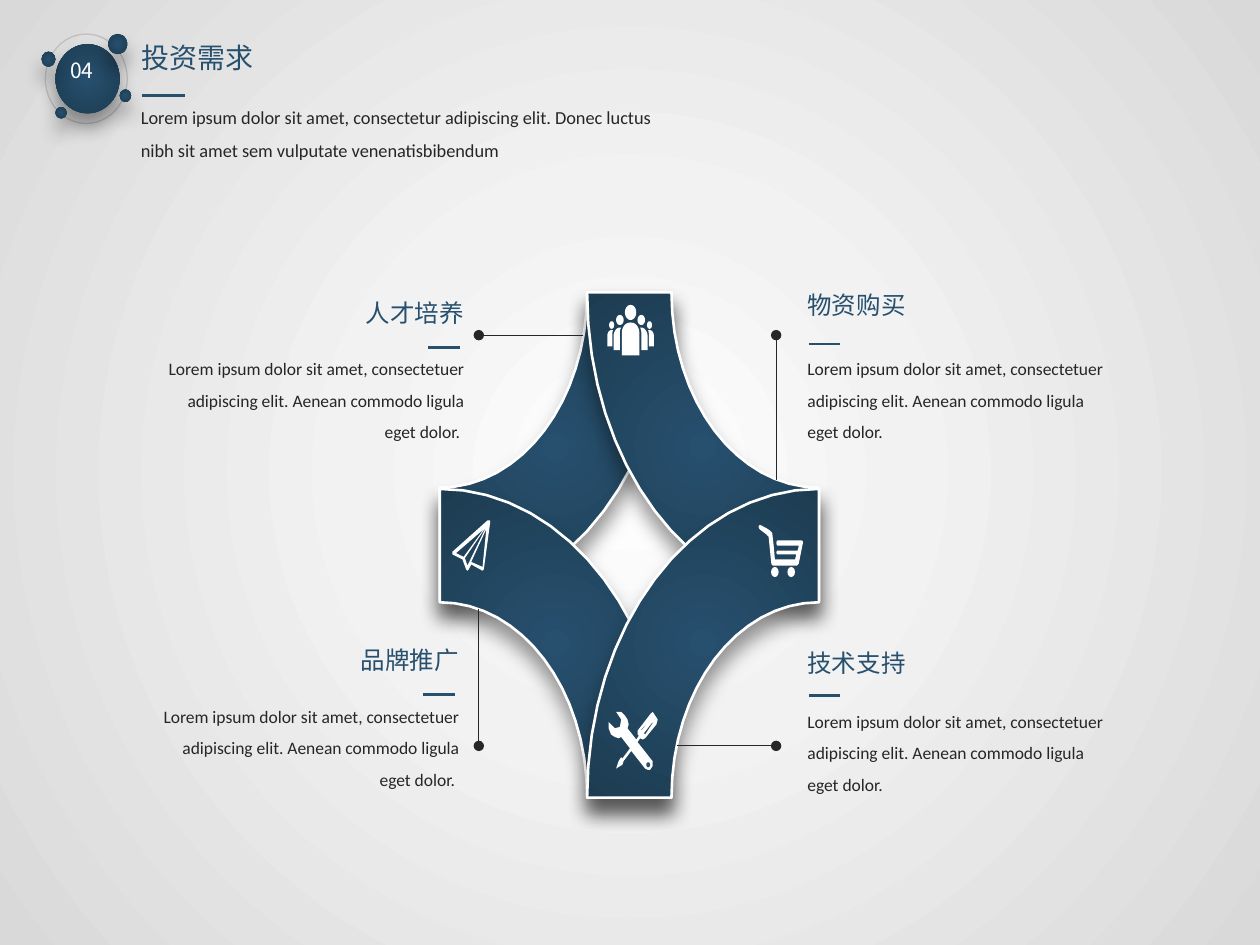
from dataclasses import dataclass
from math import cos, pi, sin

from lxml import etree
from pptx import Presentation
from pptx import util as u
from pptx.dml.color import RGBColor
from pptx.enum import shapes, text
from pptx.oxml import parse_xml
from pptx.oxml.ns import nsdecls, qn


@dataclass(frozen=True)
class Theme:
    navy: str = "27506E"
    deep: str = "1D3C52"
    ink: str = "262626"
    white: str = "FFFFFF"
    ring: str = "BFBFBF"
    latin: str = "Calibri"
    cjk: str = "Noto Sans CJK SC"
    title: float = 16
    number: float = 12
    intro: float = 10.5
    label: float = 14
    body: float = 10


THEME = Theme()
CELL = u.Inches(0.1)  # the slide is a grid of 100 columns by 75 rows
NAVY_STOPS = ((0, THEME.navy), (100, THEME.deep))
PAGE_STOPS = ((0, THEME.white), (35, "F2F2F2"), (100, "D9D9D9"))
LEFT, RIGHT, CENTER = text.PP_ALIGN.LEFT, text.PP_ALIGN.RIGHT, text.PP_ALIGN.CENTER
LOREM = ("Lorem ipsum dolor sit amet, consectetuer adipiscing elit. "
         "Aenean commodo ligula eget dolor.")
HUB = (49.95, 43.25)

# Outlines: two numbers are a straight step, six are a curve.
BAND = [(3.35, -20.05), (-3.35, -20.05), (-3.35, -6.45, 4.85, 4.45, 15.05, 4.45),
        (15.05, -4.55), (8.55, -4.55, 3.35, -11.45, 3.35, -20.05)]
CART = [(63.6, 42.9), (61.7, 42.9), (61.6, 42.9, 61.6, 43.3, 61.7, 43.3),
        (63.4, 43.3), (63.3, 43.7), (61.7, 43.7), (61.6, 43.7, 61.6, 44, 61.7, 44),
        (63.2, 44), (63.1, 44.4), (61.5, 44.4), (61.4, 43.3), (61.3, 42.4),
        (61.3, 42.2, 61, 42, 60.4, 41.7), (60.2, 41.6, 60.1, 41.9, 60.4, 42.1),
        (60.8, 42.4), (61, 42.6), (61.2, 44.6), (61.2, 44.6, 61.2, 44.9, 61.4, 44.9),
        (63.2, 44.9), (63.3, 44.9, 63.4, 44.7, 63.4, 44.7), (63.7, 43.2),
        (63.7, 43.2, 63.8, 42.9, 63.6, 42.9)]
PLANE = [
    [(38.9, 41.3), (38.7, 41.3), (35.9, 43.8), (35.9, 44), (36.7, 44.4), (37, 45.2),
     (37.1, 45.3), (37.2, 45.2), (37.4, 44.8), (38.3, 45.3), (38.4, 45.2), (38.9, 41.5)],
    [(38.3, 45), (37.4, 44.6), (38.6, 42)],
    [(36.9, 44.3), (38.6, 41.8), (37.1, 44.9)],
    [(36.2, 43.9), (38.4, 42), (36.8, 44.2)],
]
TOOLS = [
    [(52.2, 57.1), (51.8, 56.5), (51.6, 56.7), (50.6, 58), (50.6, 58.3), (50.7, 58.4),
     (50.5, 58.7), (49.8, 57.8), (49.9, 57.5), (49.8, 57.1), (49.6, 56.8), (49.3, 56.5),
     (48.9, 56.5), (49.3, 57.1), (49.2, 57.7), (48.8, 57.8), (48.3, 57.3), (48.3, 57.8),
     (48.5, 58.3), (48.8, 58.5), (49.1, 58.6), (49.3, 58.5), (50, 59.4), (49.4, 60.2),
     (49.3, 60.1), (49.1, 60.4), (48.9, 61), (49.4, 60.7), (49.5, 60.4), (50.1, 59.6),
     (51.2, 61), (51.4, 61.1), (51.6, 61.1), (51.8, 60.8), (51.8, 60.4), (51.7, 60.3),
     (50.6, 58.9), (50.8, 58.6), (51, 58.7), (51.2, 58.6), (52.1, 57.5)],
    [(50.9, 58), (50.9, 57.9), (51.6, 57.1)],
    [(51.2, 58.3), (51.1, 58.2), (51.8, 57.3), (51.8, 57.4)],
]


def color(code):
    return RGBColor.from_string(code)


def cells(*values):
    return [round(value * CELL) for value in values]


def apply(target, values):
    for name, value in values.items():
        setattr(target, name, value)


def radial(parent, stops):
    """Swap the solid fill inside parent for a gradient from the centre outwards."""
    marks = "".join(f'<a:gs pos="{at * 1000}"><a:srgbClr val="{code}"/></a:gs>'
                    for at, code in stops)
    solid = parent.find(qn("a:solidFill"))
    parent.replace(solid, parse_xml(
        f'<a:gradFill {nsdecls("a")} rotWithShape="1"><a:gsLst>{marks}</a:gsLst>'
        '<a:path path="circle"><a:fillToRect l="50000" t="50000" r="50000" b="50000"/>'
        '</a:path></a:gradFill>'))


def paint(shape, fill=None, line=None, width=0.75, raised=False):
    """Format a shape; raised ones get the navy gradient and a drop shadow."""
    shape.shadow.inherit = False
    if fill or raised:
        shape.fill.solid()
        shape.fill.fore_color.rgb = color(fill or THEME.navy)
    else:
        shape.fill.background()
    if line:
        shape.line.color.rgb = color(line)
        shape.line.width = u.Pt(width)
    else:
        shape.line.fill.background()
    if raised:
        properties = shape.element.spPr
        radial(properties, NAVY_STOPS)
        properties.find(qn("a:effectLst")).append(parse_xml(
            f'<a:outerShdw {nsdecls("a")} blurRad="{u.Pt(11)}" dist="{u.Pt(8)}" '
            'dir="5400000" algn="t" rotWithShape="0"><a:srgbClr val="000000">'
            '<a:alpha val="40000"/></a:srgbClr></a:outerShdw>'))


def add_oval(parent, at, **look):
    paint(parent.shapes.add_shape(shapes.MSO_SHAPE.OVAL, *cells(*at)), **look)


def trace(outline):
    """Turn straight and curved steps into a list of points."""
    points = []
    for *bends, x, y in outline:
        if bends:
            (x0, y0), (x1, y1, x2, y2) = points[-1], bends
            for t in (step / 16 for step in range(1, 16)):
                a, b, c, d = (1 - t) ** 3, 3 * t * (1 - t) ** 2, 3 * t * t * (1 - t), t ** 3
                points.append((a * x0 + b * x1 + c * x2 + d * x,
                               a * y0 + b * y1 + c * y2 + d * y))
        points.append((x, y))
    return points


def add_outline(parent, outlines, **look):
    first, *others = [[cells(*point) for point in trace(outline)] for outline in outlines]
    builder = parent.shapes.build_freeform(*first[0])
    builder.add_line_segments(first[1:], close=True)
    for points in others:
        builder.move_to(*points[0])
        builder.add_line_segments(points[1:], close=True)
    paint(builder.convert_to_shape(), **look)


def mirror(outline, center, across, down):
    """Place an outline around a centre, flipped by -1 on either axis."""
    return [tuple(center[i % 2] + value * (across, down)[i % 2]
                  for i, value in enumerate(step)) for step in outline]


def add_line(page, start, end, code, width, dot=False):
    line = page.shapes.add_connector(shapes.MSO_CONNECTOR.STRAIGHT, *cells(*start, *end))
    line.line.color.rgb = color(code)
    line.line.width = u.Pt(width)
    if dot:
        etree.SubElement(line.line._get_or_add_ln(), qn("a:tailEnd"), type="oval")
    etree.SubElement(line.element.spPr, qn("a:effectLst"))


def write(box, words, size, code, font, align=LEFT, wrap=False, spacing=1.0):
    frame = box.text_frame
    apply(frame, {"word_wrap": wrap, "auto_size": text.MSO_AUTO_SIZE.SHAPE_TO_FIT_TEXT,
                  "vertical_anchor": text.MSO_ANCHOR.TOP})
    para = frame.paragraphs[0]
    apply(para, {"alignment": align, "line_spacing": spacing})
    span = para.add_run()
    span.text = words
    apply(span.font, {"size": u.Pt(size), "name": font})
    span.font.color.rgb = color(code)
    etree.SubElement(span.font._element, qn("a:ea"), typeface=font)


def add_text(page, at, *content, **layout):
    write(page.shapes.add_textbox(*cells(*at)), *content, **layout)


def add_header(page):
    badge = page.shapes.add_group_shape()
    add_oval(badge, (3.6, 2.7, 6.5, 7.1), line=THEME.ring)
    for at in ((4.4, 3.5, 5.1, 5.5), (8.6, 2.7, 1.5, 1.6), (3.3, 4.1, 1.1, 1.2),
               (4.4, 8.5, 0.9, 0.9), (9.5, 7.1, 0.9, 1)):
        add_oval(badge, at, raised=True)
    title = page.shapes.title
    apply(title, dict(zip(("left", "top", "width", "height"), cells(10.2, 2.7, 11, 3.7))))
    write(title, "投资需求", THEME.title, THEME.navy, THEME.cjk, align=CENTER)
    add_text(page, (10.2, 7.1, 44.7, 6.3),
             "Lorem ipsum dolor sit amet, consectetur adipiscing elit. "
             "Donec luctus nibh sit amet sem vulputate venenatisbibendum",
             THEME.intro, THEME.ink, THEME.latin, wrap=True, spacing=1.5)
    add_line(page, (11.3, 7.6), (14.7, 7.6), THEME.navy, 1.5)
    add_text(page, (4.6, 4.1, 3.9, 3), "04", THEME.number, THEME.white, THEME.cjk)


def add_topic(page, label, left, label_top, body_top, rule_top, align):
    to_right = align == RIGHT
    add_text(page, (left, body_top, 25.9, 8.6), LOREM + " " * to_right, THEME.body,
             THEME.ink, THEME.latin, align=align, wrap=True, spacing=1.5)
    add_text(page, (left + 16 * to_right, label_top, 9.9, 3.4), label, THEME.label,
             THEME.navy, THEME.cjk, align=align)
    rule = left + (22.1 if to_right else 1.1)
    add_line(page, (rule, rule_top), (rule + 2.5, rule_top), THEME.navy, 1.5)


def head(x, y, wide, high):
    return [(x + wide * cos(k * pi / 12), y + high * sin(k * pi / 12)) for k in range(24)]


def people():
    middle = (50.05, 0)
    figures = [head(50.05, 24.8, 0.45, 0.6),
               [(49.35, 28.2), (49.35, 26.5), (49.35, 26, 49.6, 25.6, 50.05, 25.6),
                (50.5, 25.6, 50.75, 26, 50.75, 26.5), (50.75, 28.2)]]
    half = [head(0.85, 25.4, 0.3, 0.4), head(1.5, 25.8, 0.2, 0.3),
            [(0.85, 27.8), (1.35, 27.8), (1.35, 26.7), (1.35, 26.3, 1.1, 26, 0.85, 26),
             (0.75, 26), (0.85, 26.2, 0.85, 26.3, 0.85, 26.5)],
            [(1.45, 27.5), (1.85, 27.5), (1.85, 26.7), (1.85, 26.4, 1.7, 26.2, 1.5, 26.2),
             (1.4, 26.2), (1.45, 26.4, 1.45, 26.5, 1.45, 26.7)]]
    return figures + [mirror(part, middle, side, 1) for side in (-1, 1) for part in half]


def add_icons(page):
    for outlines in (people(), PLANE, TOOLS, [head(51.45, 60.7, 0.15, 0.2)]):
        look = THEME.navy if len(outlines) == 1 else THEME.white
        add_outline(page, outlines, fill=look)
    cart = page.shapes.add_group_shape()
    for left in (61.2, 62.5):
        add_oval(cart, (left, 45, 0.6, 0.8), fill=THEME.white)
    add_outline(cart, [CART], fill=THEME.white)


def main():
    deck = Presentation()
    apply(deck, {"slide_width": 100 * CELL, "slide_height": 75 * CELL})
    page = deck.slides.add_slide(deck.slide_layouts[5])
    page.background.fill.solid()
    page.background.fill.fore_color.rgb = color(THEME.white)
    radial(page.element.find(".//" + qn("p:bgPr")), PAGE_STOPS)
    add_header(page)
    for across in (-1, 1):
        for down in (1, -1):
            add_outline(page, [mirror(BAND, HUB, across, down)],
                        raised=True, line=THEME.white, width=1.5)
    for start, end in (((46.3, 26.6), (38, 26.6)), ((38, 48.3), (38, 59.2)),
                       ((53.7, 59.2), (61.6, 59.2)), ((61.6, 38.1), (61.6, 26.6))):
        add_line(page, start, end, THEME.ink, 0.5, dot=True)
    for topic in (("人才培养", 11.9, 23.2, 27.1, 27.6, RIGHT),
                  ("物资购买", 63.1, 22.5, 27.1, 27.3, LEFT),
                  ("品牌推广", 11.5, 50.7, 54.7, 55.1, RIGHT),
                  ("技术支持", 63.1, 50.9, 55.1, 55.2, LEFT)):
        add_topic(page, *topic)
    add_icons(page)
    deck.save("out.pptx")


if __name__ == "__main__":
    main()
